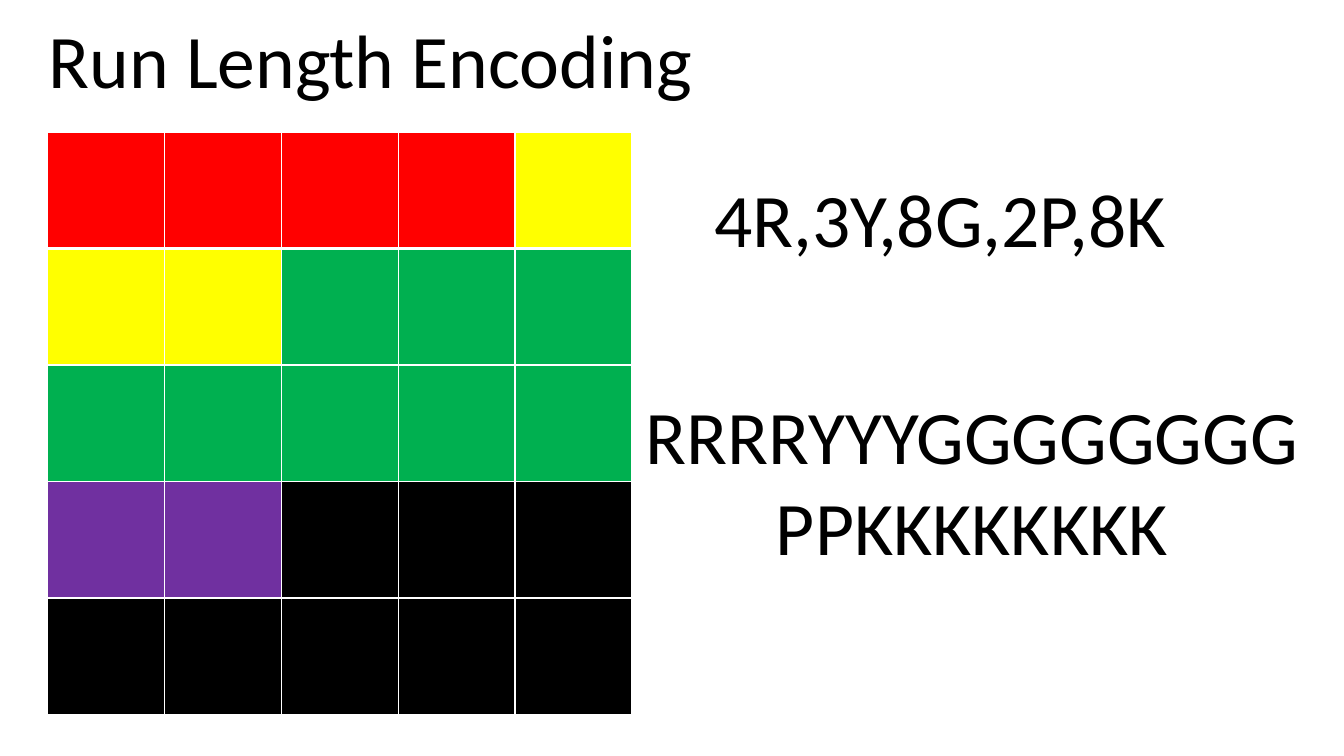
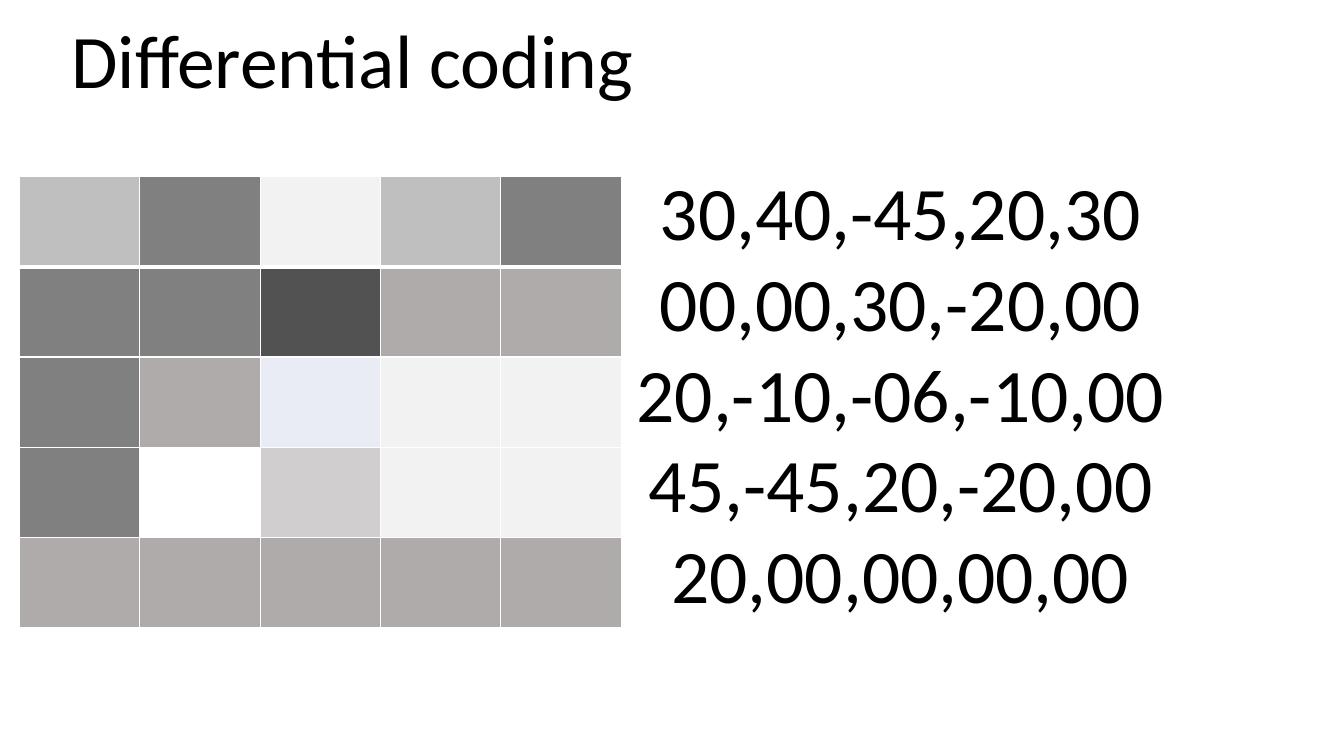
import pptx
import pptx.dml.color
import pptx.enum.text
import pptx.oxml
import pptx.oxml.ns
import pptx.util

Pt = pptx.util.Pt
RGB = pptx.dml.color.RGBColor.from_string

COLORS = {
    "text": "000000", "border": "FFFFFF",
    "R": "FF0000", "Y": "FFFF00", "G": "00B050", "P": "7030A0", "K": "000000",
    "silver": "BFBFBF", "gray": "808080", "pale": "F2F2F2", "dark": "525252",
    "warm": "AFABAB", "blue": "E9EBF5", "white": "FFFFFF", "light": "D0CECE",
}
FONT = "Calibri"
FONT_SIZE = 54
GRID_SIZE = 5


def add_lines(slide, left, top, width, height, lines):
    box = slide.shapes.add_textbox(Pt(left), Pt(top), Pt(width), Pt(height))
    frame = box.text_frame
    frame.word_wrap = False
    frame.auto_size = pptx.enum.text.MSO_AUTO_SIZE.SHAPE_TO_FIT_TEXT
    for index, line in enumerate(lines):
        paragraph = frame.add_paragraph() if index else frame.paragraphs[0]
        paragraph.alignment = pptx.enum.text.PP_ALIGN.CENTER
        run = paragraph.add_run()
        run.text = line
        run.font.name = FONT
        run.font.size = Pt(FONT_SIZE)
        run.font.color.rgb = RGB(COLORS["text"])


def add_pixels(slide, left, top, pixel_width, pixel_height, pixels):
    grid = slide.shapes.add_table(
        GRID_SIZE, GRID_SIZE, Pt(left), Pt(top),
        Pt(pixel_width * GRID_SIZE), Pt(pixel_height * GRID_SIZE)).table
    for column in grid.columns:
        column.width = Pt(pixel_width)
    for row in grid.rows:
        row.height = Pt(pixel_height)
    for index, pixel in enumerate(pixels):
        row, column = divmod(index, GRID_SIZE)
        cell = grid.cell(row, column)
        borders = {"L": 1, "R": 1, "T": 3 if row == 1 else 1, "B": 3 if row == 0 else 1}
        properties = cell._tc.get_or_add_tcPr()
        for side, weight in borders.items():
            properties.append(pptx.oxml.parse_xml(
                f'<a:ln{side} {pptx.oxml.ns.nsdecls("a")} w="{Pt(weight)}"><a:solidFill>'
                f'<a:srgbClr val="{COLORS["border"]}"/></a:solidFill></a:ln{side}>'))
        cell.fill.solid()
        cell.fill.fore_color.rgb = RGB(COLORS[pixel])


presentation = pptx.Presentation()
presentation.slide_width = Pt(960)
presentation.slide_height = Pt(540)
blank = presentation.slide_layouts[6]

run_length = presentation.slides.add_slide(blank)
decoded = ["RRRRYYYGGGGGGGG", "PPKKKKKKKK"]
add_lines(run_length, 25.2, 5.8, 478.8, 72.7, ["Run Length Encoding"])
add_pixels(run_length, 34, 94.3, 83.5, 83.2, "".join(decoded))
add_lines(run_length, 501.1, 119.5, 341.3, 72.7, ["4R,3Y,8G,2P,8K"])
add_lines(run_length, 451.4, 274.3, 486, 138.2, decoded)

differential = presentation.slides.add_slide(blank)
shades = [
    "silver", "gray", "pale", "silver", "gray",
    "gray", "gray", "dark", "warm", "warm",
    "gray", "warm", "blue", "pale", "pale",
    "gray", "white", "light", "pale", "pale",
    "warm", "warm", "warm", "warm", "warm",
]
differences = [
    "30,40,-45,20,30",
    "00,00,30,-20,00",
    "20,-10,-06,-10,00",
    "45,-45,20,-20,00",
    "20,00,00,00,00",
]
add_lines(differential, 41, 5.8, 421.2, 72.7, ["Differential coding"])
add_pixels(differential, 13.9, 126, 86, 64.5, shades)
add_lines(differential, 445.7, 114.5, 395.3, 334.1, differences)

presentation.save("out.pptx")
